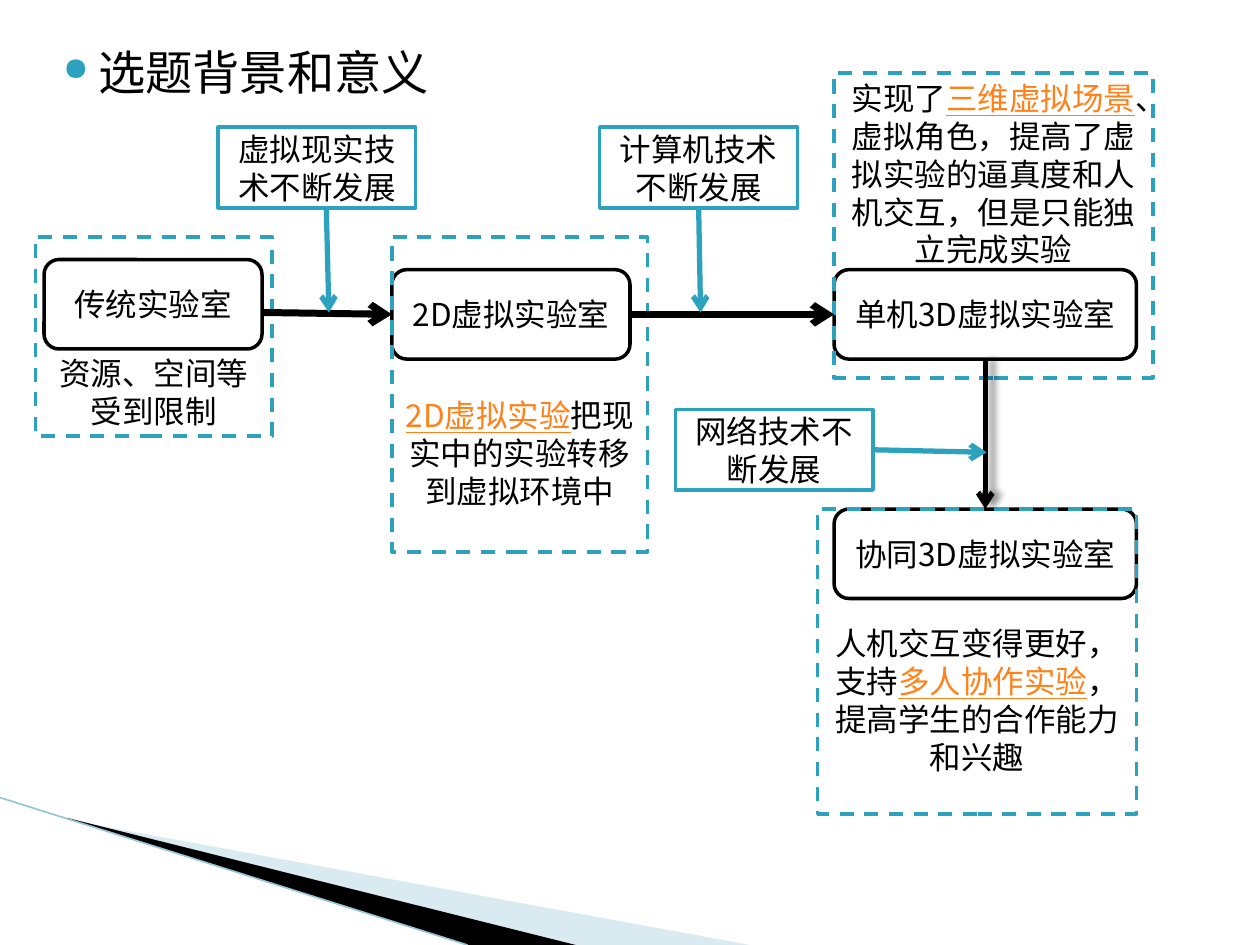
from dataclasses import dataclass
from typing import Optional

from lxml.etree import SubElement
from pptx import Presentation
from pptx.dml.color import RGBColor
from pptx.enum.dml import MSO_LINE
from pptx.enum.shapes import MSO_CONNECTOR, MSO_SHAPE
from pptx.enum.text import MSO_ANCHOR, MSO_AUTO_SIZE, PP_ALIGN
from pptx.oxml.ns import qn
from pptx.util import Inches, Pt

COLORS = {"black": "000000", "white": "FFFFFF", "teal": "2DA2BF",
          "orange": "FF8119", "pale": "A0CBDC", "edge": "97C5D8"}
FONT = "Noto Sans CJK SC"
COLS, ROWS = 100, 75
WIDTH, HEIGHT = Inches(10), Inches(7.5)
STAGE_H, NOTE_W, NOTE_H = 7.1, 25.3, 24.2
LABEL_W, LABEL_H = 15.7, 6.4


@dataclass
class Box:
    name: str
    col: float
    row: float
    cols: float
    rows: float
    runs: tuple
    kind: str = "note"
    filled: bool = True
    anchor: MSO_ANCHOR = MSO_ANCHOR.MIDDLE
    inset_top: float = 0.5


@dataclass
class Arrow:
    start: tuple
    end: tuple
    color: str
    width: float
    begin: Optional[tuple] = None
    finish: Optional[tuple] = None
    shadow: bool = False


def stage(name: str, col: float, row: float, cols: float, text: str) -> Box:
    return Box(name, col, row, cols, STAGE_H, (text,), "stage")


def label(name: str, col: float, row: float, text: str) -> Box:
    return Box(name, col, row, LABEL_W, LABEL_H, (text,), "label")


BOXES = [
    Box("lab note", 2.8, 18.8, 18.8, 15.8, ("资源、空间等受到限制",),
        anchor=MSO_ANCHOR.BOTTOM),
    label("vr", 17.3, 10.1, "虚拟现实技术不断发展"),
    stage("lab", 3.5, 20.6, 17.3, "传统实验室"),
    stage("2d", 31.1, 21.4, 18.9, "2D虚拟实验室"),
    Box("2d note", 31.1, 18.8, 20.3, 25,
        ("", "2D虚拟实验", "把现实中的实验转移到虚拟环境中"),
        filled=False, inset_top=9.8),
    label("computer", 47.6, 10.1, "计算机技术不断发展"),
    stage("single", 66.2, 21.4, 24, "单机3D虚拟实验室"),
    Box("single note", 66.2, 5.8, NOTE_W, NOTE_H,
        ("实现了", "三维虚拟场景",
         "、虚拟角色，提高了虚拟实验的逼真度和人机交互，但是只能独立完成实验"),
        filled=False, anchor=MSO_ANCHOR.TOP),
    stage("shared", 66.2, 40.4, 24, "协同3D虚拟实验室"),
    label("network", 53.6, 32.5, "网络技术不断发展"),
    Box("shared note", 64.9, 40.4, NOTE_W, NOTE_H,
        ("人机交互变得更好，支持", "多人协作实验", "，提高学生的合作能力和兴趣"),
        filled=False, inset_top=6.6),
]

ARROWS = [
    Arrow((20.8, 24.8), (31.1, 25.1), "black", 4, finish=("2d", 1)),
    Arrow((50, 25.1), (66.2, 25), "black", 4, ("2d", 3), ("single", 1)),
    Arrow((25.9, 16.5), (26.1, 24.8), "teal", 3),
    Arrow((55.4, 16.5), (55.6, 24.8), "teal", 3, ("computer", 2)),
    Arrow((78.2, 28.5), (78.2, 40.4), "black", 3, ("single", 2), ("shared", 0), True),
    Arrow((69.3, 35.7), (78.3, 35.9), "teal", 3, ("network", 3)),
]

WEDGES = [
    ("pale", 40, [(5.5, 65.1), (59.5, 75), (45.6, 75), (5.5, 65)]),
    ("black", 100, [(5.3, 64.9), (45.7, 75), (37.2, 75), (5.4, 65)]),
]


def x(col: float) -> int:
    return round(WIDTH * col / COLS)


def y(row: float) -> int:
    return round(HEIGHT * row / ROWS)


def rgb(name: str) -> RGBColor:
    return RGBColor.from_string(COLORS[name])


def add_run(p, text: str, size: float, color: str = "black", underline: bool = False) -> None:
    r = p.add_run()
    r.text = text
    r.font.name, r.font.size, r.font.underline = FONT, Pt(size), underline
    r.font.color.rgb = rgb(color)
    SubElement(r._r.get_or_add_rPr(), qn("a:ea"), typeface=FONT)


def draw_wedge(slide, color: str, opacity: int, points: list) -> None:
    corners = [(x(c), y(r)) for c, r in points]
    builder = slide.shapes.build_freeform(*corners[0])
    builder.add_line_segments(corners[1:], close=True)
    s = builder.convert_to_shape()
    s.shadow.inherit = False
    s.fill.solid()
    s.fill.fore_color.rgb = rgb(color)
    s.line.fill.background()
    srgb = s._element.spPr.find(qn("a:solidFill"))[0]
    SubElement(srgb, qn("a:alpha"), val=str(opacity * 1000))


def draw_title(slide, text: str) -> None:
    sp = slide.shapes.title
    sp.left, sp.top, sp.width, sp.height = x(2.8), y(2.9), x(44.9), y(5.5)
    tf = sp.text_frame
    tf.word_wrap, tf.auto_size = True, MSO_AUTO_SIZE.NONE
    tf.vertical_anchor = MSO_ANCHOR.MIDDLE
    p = tf.paragraphs[0]
    p.alignment = PP_ALIGN.LEFT
    add_run(p, text, 27)
    pPr = p._p.get_or_add_pPr()
    pPr.set("marL", str(Inches(0.4)))
    pPr.set("indent", str(Inches(-0.28)))
    SubElement(SubElement(pPr, qn("a:buClr")), qn("a:srgbClr"), val=COLORS["teal"])
    SubElement(pPr, qn("a:buSzPct"), val="68000")
    SubElement(pPr, qn("a:buChar"), char="●")


def draw_box(slide, box: Box):
    preset = MSO_SHAPE.ROUNDED_RECTANGLE if box.kind == "stage" else MSO_SHAPE.RECTANGLE
    s = slide.shapes.add_shape(preset, x(box.col), y(box.row), x(box.cols), y(box.rows))
    s.shadow.inherit = False
    if box.filled:
        s.fill.solid()
        s.fill.fore_color.rgb = rgb("white")
    else:
        s.fill.background()
    s.line.color.rgb = rgb("black" if box.kind == "stage" else "teal")
    s.line.width = Pt(2)
    if box.kind == "note":
        s.line.dash_style = MSO_LINE.DASH
    tf = s.text_frame
    tf.word_wrap, tf.vertical_anchor = True, box.anchor
    tf.margin_top = y(box.inset_top)
    p = tf.paragraphs[0]
    p.alignment = PP_ALIGN.CENTER
    for i, text in enumerate(box.runs):
        marked = i == 1
        if text:
            add_run(p, text, 18, "orange" if marked else "black", marked)
    return s


def draw_line(slide, start: tuple, end: tuple, color: str, width: float):
    c = slide.shapes.add_connector(MSO_CONNECTOR.STRAIGHT, x(start[0]), y(start[1]),
                                   x(end[0]), y(end[1]))
    c.line.color.rgb = rgb(color)
    c.line.width = Pt(width)
    return c, SubElement(c._element.spPr, qn("a:effectLst"))


def draw_arrow(slide, arrow: Arrow, shapes: dict) -> None:
    c, effects = draw_line(slide, arrow.start, arrow.end, arrow.color, arrow.width)
    SubElement(c.line._get_or_add_ln(), qn("a:tailEnd"), type="arrow")
    if arrow.begin:
        c.begin_connect(shapes[arrow.begin[0]], arrow.begin[1])
    if arrow.finish:
        c.end_connect(shapes[arrow.finish[0]], arrow.finish[1])
    if arrow.shadow:
        shadow = SubElement(effects, qn("a:outerShdw"), blurRad=str(Pt(4)),
                            dist=str(Pt(4)), dir="0", rotWithShape="0")
        tone = SubElement(shadow, qn("a:srgbClr"), val=COLORS["black"])
        SubElement(tone, qn("a:alpha"), val="43000")


def main() -> None:
    prs = Presentation()
    prs.slide_width, prs.slide_height = WIDTH, HEIGHT
    slide = prs.slides.add_slide(prs.slide_layouts[5])
    for wedge in WEDGES:
        draw_wedge(slide, *wedge)
    draw_line(slide, (0, 63.3), (37.1, 75), "edge", 0.95)
    draw_title(slide, "选题背景和意义")
    shapes = {box.name: draw_box(slide, box) for box in BOXES}
    for arrow in ARROWS:
        draw_arrow(slide, arrow, shapes)
    prs.save("out.pptx")


if __name__ == "__main__":
    main()
